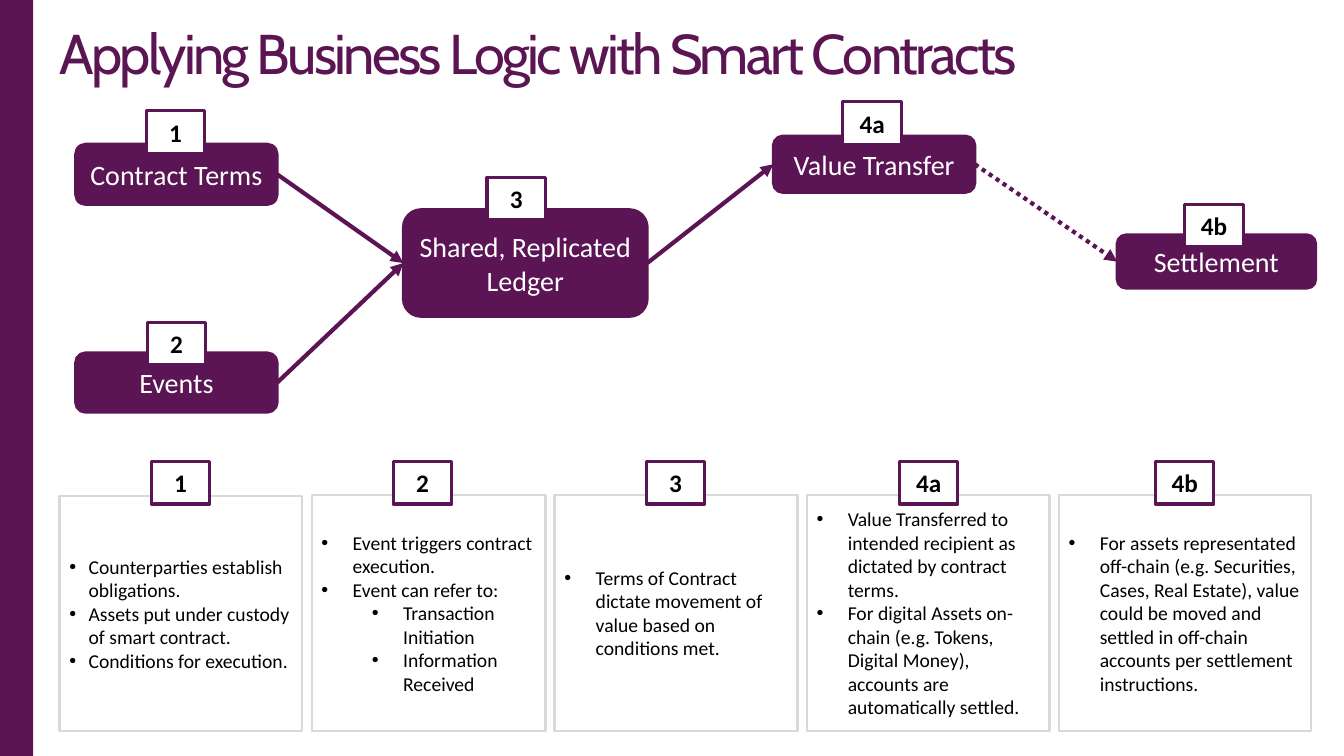
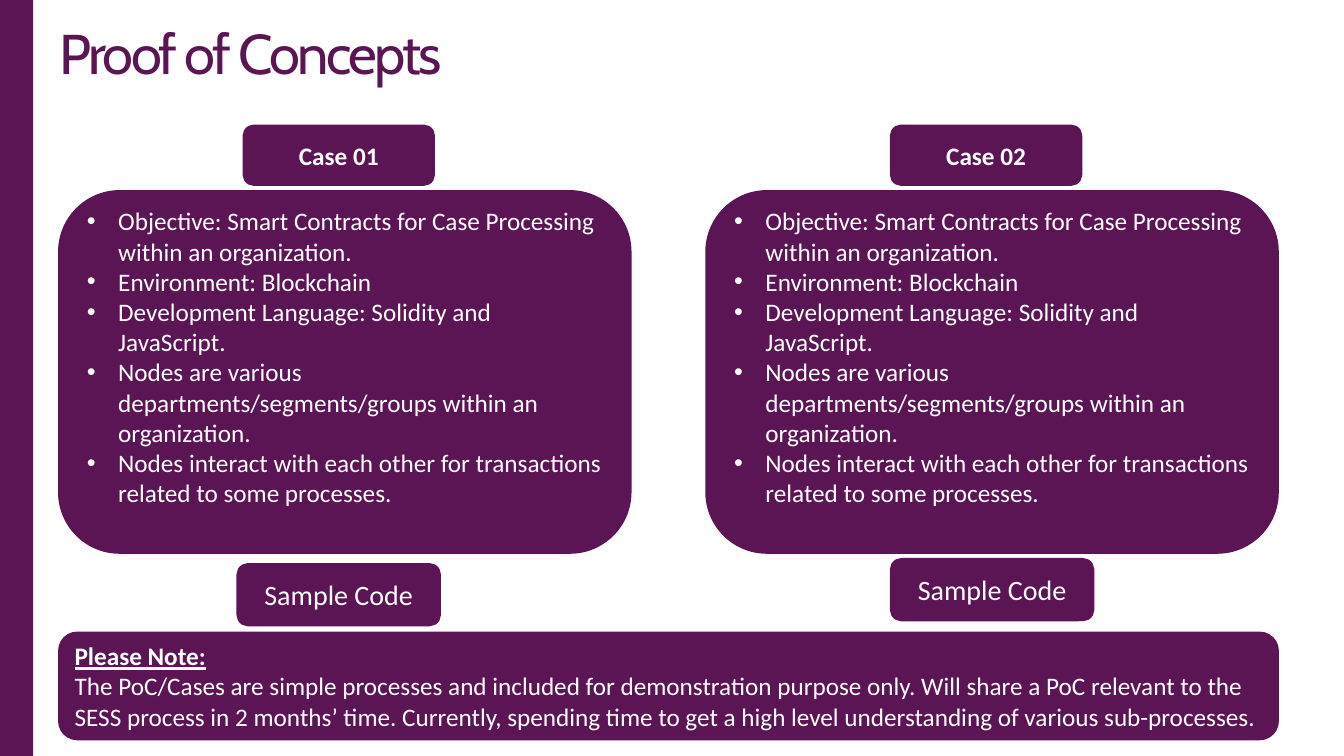
"""Build two slides on smart contracts: a process flow and two proofs of concept."""
import lxml.etree
import pptx
import pptx.dml.color
import pptx.enum.dml
import pptx.enum.shapes
import pptx.enum.text
import pptx.oxml.ns
import pptx.util

Inches = pptx.util.Inches
Pt = pptx.util.Pt
RGBColor = pptx.dml.color.RGBColor
Align = pptx.enum.text.PP_ALIGN
Shape = pptx.enum.shapes.MSO_SHAPE
qn = pptx.oxml.ns.qn

PLUM = RGBColor(0x5B, 0x15, 0x54)
TITLE_PLUM = RGBColor(0x5B, 0x15, 0x53)
GREY = RGBColor(0xD9, 0xD9, 0xD9)
WHITE = RGBColor(0xFF, 0xFF, 0xFF)
BLACK = RGBColor(0x00, 0x00, 0x00)

TAG_WIDTH, TAG_HEIGHT = 0.58, 0.42
LEFT = 0.59


def write_text(para, text, size=18, color=WHITE, font="Calibri", bold=False,
               underline=False, align=Align.LEFT, spacing=None, hang=None, level=0):
    para.alignment = align
    para.level = level
    span = para.add_run()
    span.text = text
    span.font.size = Pt(size)
    span.font.name = font
    span.font.color.rgb = color
    span.font.bold = bold
    span.font.underline = underline
    if spacing is not None:
        span.font._element.set("spc", str(round(spacing * 100)))
    if hang is not None:
        properties = para._p.get_or_add_pPr()
        properties.set("marL", str(Inches(hang + 0.5 * level)))
        properties.set("indent", str(-Inches(hang)))
        lxml.etree.SubElement(properties, qn("a:buFont"), typeface="Arial")
        lxml.etree.SubElement(properties, qn("a:buChar"), char="•")


class Pages:
    def __init__(self):
        self.deck = pptx.Presentation()
        self.deck.slide_width = Inches(13.33)
        self.deck.slide_height = Inches(7.5)
        self.page = None

    def start(self, title):
        self.page = self.deck.slides.add_slide(self.deck.slide_layouts[6])
        self.box((0, 0, 0.33, 7.5), fill=TITLE_PLUM)
        heading = self.page.shapes.add_textbox(*map(Inches, (LEFT, 0.17, 10.24, 0.69)))
        frame = heading.text_frame
        frame.word_wrap = True
        frame.margin_left = frame.margin_right = frame.margin_bottom = 0
        frame.margin_top = Inches(0.01)
        para = frame.paragraphs[0]
        para.space_before = Pt(0.9)
        write_text(para, title, size=40, color=TITLE_PLUM, font="Cabin", spacing=-1.9)

    def box(self, place, kind=Shape.RECTANGLE, fill=WHITE, line=None, weight=1.5):
        box = self.page.shapes.add_shape(kind, *map(Inches, place))
        box.shadow.inherit = False
        box.fill.solid()
        box.fill.fore_color.rgb = fill
        if line is None:
            box.line.fill.background()
        else:
            box.line.color.rgb = line
            box.line.width = Pt(weight)
        box.text_frame.word_wrap = True
        box.text_frame.vertical_anchor = pptx.enum.text.MSO_ANCHOR.MIDDLE
        return box

    def panel(self, place):
        return self.box(place, Shape.ROUNDED_RECTANGLE, PLUM, PLUM, 2)

    def label(self, place, text, size=20, bold=False):
        panel = self.panel(place)
        write_text(panel.text_frame.paragraphs[0], text, size=size, bold=bold,
                   align=Align.CENTER)
        return panel

    def tag(self, left, top, text):
        tag = self.box((left, top, TAG_WIDTH, TAG_HEIGHT), line=PLUM, weight=2.25)
        write_text(tag.text_frame.paragraphs[0], text, color=BLACK, bold=True,
                   align=Align.CENTER)

    def bullets(self, box, items, hang=0.31, **style):
        frame = box.text_frame
        for index, (level, text) in enumerate(items):
            para = frame.add_paragraph() if index else frame.paragraphs[0]
            write_text(para, text, hang=hang, level=level, **style)

    def arrow(self, source, target, dotted=False):
        arrow = self.page.shapes.add_connector(
            pptx.enum.shapes.MSO_CONNECTOR.STRAIGHT, 0, 0, 0, 0)
        arrow.begin_connect(source, 3)
        arrow.end_connect(target, 1)
        arrow.line.color.rgb = PLUM
        arrow.line.width = Pt(3)
        if dotted:
            arrow.line.dash_style = pptx.enum.dml.MSO_LINE.ROUND_DOT
        lxml.etree.SubElement(arrow.line._get_or_add_ln(), qn("a:tailEnd"), type="triangle")
        lxml.etree.SubElement(arrow._element.spPr, qn("a:effectLst"))


NODES = {
    "1": ("Contract Terms", (0.75, 1.43, 2, 0.6), (1.45, 1.1)),
    "2": ("Events", (0.75, 3.5, 2, 0.59), (1.46, 3.2)),
    "3": ("Shared, Replicated Ledger", (4, 2.08, 2.42, 1.06), (4.83, 1.76)),
    "4a": ("Value Transfer", (7.67, 1.35, 2, 0.56), (8.36, 1.01)),
    "4b": ("Settlement", (11.08, 2.33, 1.97, 0.53), (11.75, 2.03)),
}
ARROWS = [("1", "3", False), ("2", "3", False), ("3", "4a", False), ("4a", "4b", True)]
NOTES = [
    ("1", LEFT, 2.41, 1.5, 0.19, [
        (0, "Counterparties establish obligations."),
        (0, "Assets put under custody of smart contract."),
        (0, "Conditions for execution.")]),
    ("2", 3.09, 2.32, 3.9, 0.31, [
        (0, "Event triggers contract execution."),
        (0, "Event can refer to:"),
        (1, "Transaction Initiation"),
        (1, "Information Received")]),
    ("3", 5.5, 2.41, 6.41, 0.31, [
        (0, "Terms of Contract dictate movement of value based on conditions met.")]),
    ("4a", 8, 2.41, 8.92, 0.31, [
        (0, "Value Transferred to intended recipient as dictated by contract terms."),
        (0, "For digital Assets on-chain (e.g. Tokens, Digital Money), accounts are "
            "automatically settled.")]),
    ("4b", 10.5, 2.5, 11.46, 0.31, [
        (0, "For assets representated off-chain (e.g. Securities, Cases, Real Estate), "
            "value could be moved and settled in off-chain accounts per settlement "
            "instructions.")]),
]
CASES = [("Case 01", LEFT, 2.42, 2.36, 5.6), ("Case 02", 7.01, 8.84, 8.84, 5.55)]
CASE_POINTS = [
    (0, "Objective: Smart Contracts for Case Processing within an organization."),
    (0, "Environment: Blockchain"),
    (0, "Development Language: Solidity and JavaScript."),
    (0, "Nodes are various departments/segments/groups within an organization."),
    (0, "Nodes interact with each other for transactions related to some processes."),
]


def build_flow(pages):
    pages.start("Applying Business Logic with Smart Contracts")
    for number, left, width, tag_left, hang, items in NOTES:
        top = 4.92 if number == "1" else 4.91
        note = pages.box((left, top, width, 7.25 - top), line=GREY)
        pages.bullets(note, items, hang, size=14, color=BLACK)
        pages.tag(tag_left, 4.58, number)
    nodes = {}
    for number, (text, place, corner) in NODES.items():
        nodes[number] = pages.label(place, text)
        pages.tag(*corner, number)
    for source, target, dotted in ARROWS:
        pages.arrow(nodes[source], nodes[target], dotted)


def build_cases(pages):
    pages.start("Proof of Concepts")
    for name, left, name_left, code_left, code_top in CASES:
        pages.label((code_left, code_top, 2, 0.6), "Sample Code")
        case = pages.panel((left, 1.9, 5.66, 3.58))
        case.text_frame.margin_bottom = Inches(0.35)
        pages.bullets(case, CASE_POINTS)
        pages.label((name_left, 1.25, 1.88, 0.58), name, size=18, bold=True)
    frame = pages.panel((LEFT, 6.28, 12.08, 1.05)).text_frame
    write_text(frame.paragraphs[0], "Please Note:", bold=True, underline=True)
    write_text(frame.add_paragraph(),
               "The PoC/Cases are simple processes and included for demonstration purpose "
               "only. Will share a PoC relevant to the SESS process in 2 months’ time. "
               "Currently, spending time to get a high level understanding of various "
               "sub-processes.")


def main():
    pages = Pages()
    build_flow(pages)
    build_cases(pages)
    pages.deck.save("out.pptx")


if __name__ == "__main__":
    main()
